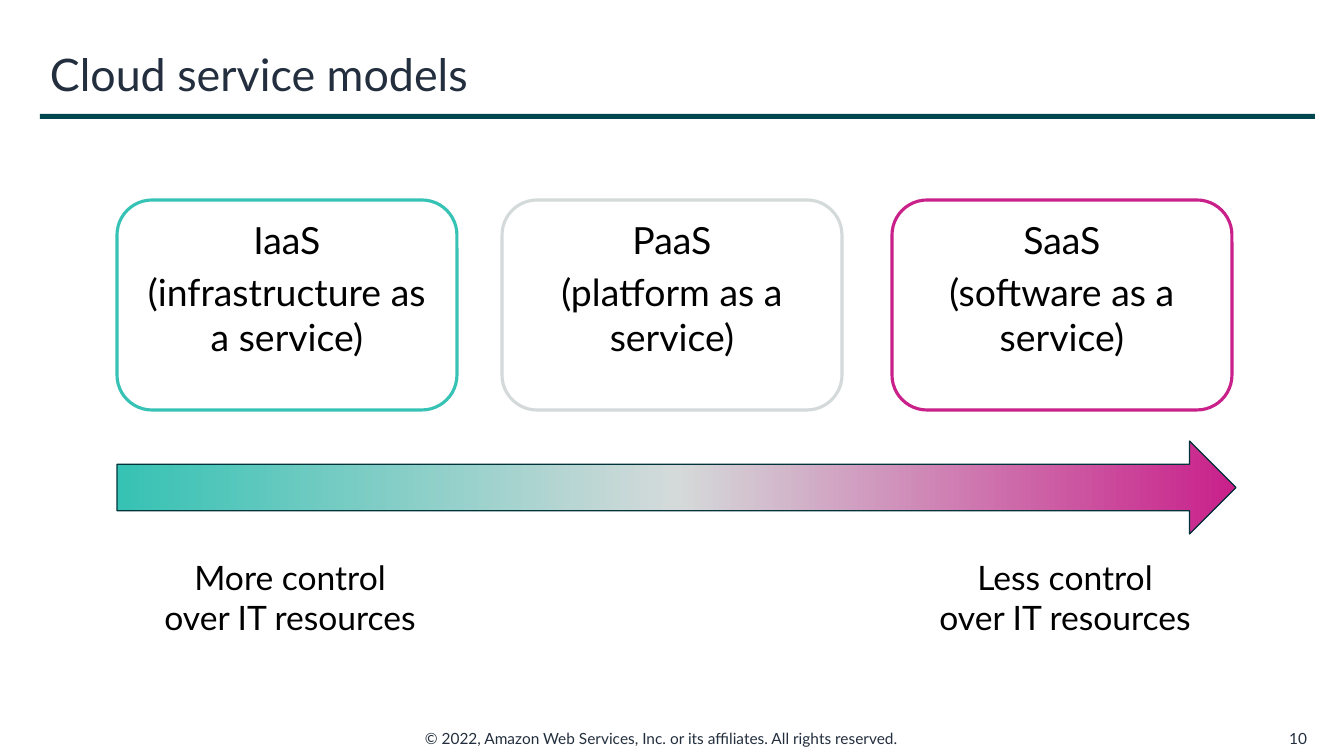
"""Build the slide that compares the three cloud service models."""
from copy import deepcopy

from pptx import Presentation
from pptx.dml.color import RGBColor
from pptx.enum.shapes import MSO_SHAPE
from pptx.enum.text import MSO_ANCHOR, PP_ALIGN
from pptx.oxml.ns import qn
from pptx.util import Emu, Pt

RECT, ROUNDED, ARROW = MSO_SHAPE.RECTANGLE, MSO_SHAPE.ROUNDED_RECTANGLE, MSO_SHAPE.RIGHT_ARROW
TOP, MIDDLE = MSO_ANCHOR.TOP, MSO_ANCHOR.MIDDLE
LEFT, CENTER, RIGHT = PP_ALIGN.LEFT, PP_ALIGN.CENTER, PP_ALIGN.RIGHT

FONT = "Lato"
COLORS = {
    "ink": "232F3E", "black": "000000", "white": "FFFFFF", "rule": "00464F",
    "outline": "00343A", "teal": "36C2B4", "grey": "D4DADA", "pink": "C9208A",
}
SLIDE_SIZE = (1344, 756)
TITLE_RULE = (40, 114, 1275, 5)
CONTROL_ARROW = (117, 441, 1119, 93)
MODEL_TOP, MODEL_WIDTH, MODEL_HEIGHT = 200, 340, 210
MODELS = [
    (117, "teal", ["IaaS", "(infrastructure as a service)"]),
    (502, "grey", ["PaaS", "(platform as a service)"]),
    (892, "pink", ["SaaS", "(software as a service)"]),
]
LABELS = [
    ("Cloud service models", (40, 33, 1275, 81), 32, "ink", LEFT, MIDDLE, True),
    ("© 2022, Amazon Web Services, Inc. or its affiliates. All rights reserved.",
     (415, 724, 513, 29), 11, "ink", LEFT, TOP, False),
    ("10", (1264, 724, 53, 29), 11, "ink", RIGHT, MIDDLE, True),
    ("More control\nover IT resources", (150, 552, 280, 92), 24, "black", CENTER, TOP, False),
    ("Less control\nover IT resources", (925, 552, 280, 92), 24, "black", CENTER, TOP, False),
]


def px(length):
    return Emu(round(length * 914400 / 100.8))


def color(name):
    return RGBColor.from_string(COLORS[name])


def write(frame, paragraphs, size, ink, align, gap=0):
    for index, text in enumerate(paragraphs):
        para = frame.add_paragraph() if index else frame.paragraphs[0]
        para.alignment = align
        para.space_before = Pt(gap if index else 0)
        for number, line in enumerate(text.split("\n")):
            if number:
                para.add_line_break()
            span = para.add_run()
            span.text = line
            span.font.name = FONT
            span.font.size = Pt(size)
            span.font.color.rgb = color(ink)


def add_shape(page, kind, place, line=None, width=0):
    shape = page.shapes.add_shape(kind, *map(px, place))
    shape.shadow.inherit = False
    if line:
        shape.line.color.rgb = color(line)
        shape.line.width = Pt(width)
    else:
        shape.line.fill.background()
    return shape


def add_label(page, text, place, size, ink, align, anchor, wrap):
    frame = page.shapes.add_textbox(*map(px, place)).text_frame
    frame.word_wrap = wrap
    frame.vertical_anchor = anchor
    write(frame, [text], size, ink, align)


def add_model(page, left, outline, lines):
    box = add_shape(page, ROUNDED, (left, MODEL_TOP, MODEL_WIDTH, MODEL_HEIGHT), outline, 2.25)
    box.fill.solid()
    box.fill.fore_color.rgb = color("white")
    frame = box.text_frame
    frame.word_wrap = True
    frame.vertical_anchor = TOP
    frame.margin_left = frame.margin_right = px(13)
    frame.margin_top = frame.margin_bottom = px(7)
    write(frame, lines, 26.7, "black", CENTER, gap=5.3)


def add_control_arrow(page):
    arrow = add_shape(page, ARROW, CONTROL_ARROW, "outline", 0.85)
    arrow.fill.gradient()
    arrow.fill.gradient_angle = 0
    stop_list = next(arrow.element.iter(qn("a:gsLst")))
    stop_list.append(deepcopy(stop_list[0]))
    names = [outline for _, outline, _ in MODELS]
    for index, (stop, name) in enumerate(zip(arrow.fill.gradient_stops, names)):
        stop.color.rgb = color(name)
        stop.position = index / (len(names) - 1)


def main():
    deck = Presentation()
    deck.slide_width, deck.slide_height = map(px, SLIDE_SIZE)
    page = deck.slides.add_slide(deck.slide_layouts[6])
    rule = add_shape(page, RECT, TITLE_RULE)
    rule.fill.solid()
    rule.fill.fore_color.rgb = color("rule")
    for model in MODELS:
        add_model(page, *model)
    add_control_arrow(page)
    for label in LABELS:
        add_label(page, *label)
    deck.save("out.pptx")


if __name__ == "__main__":
    main()
